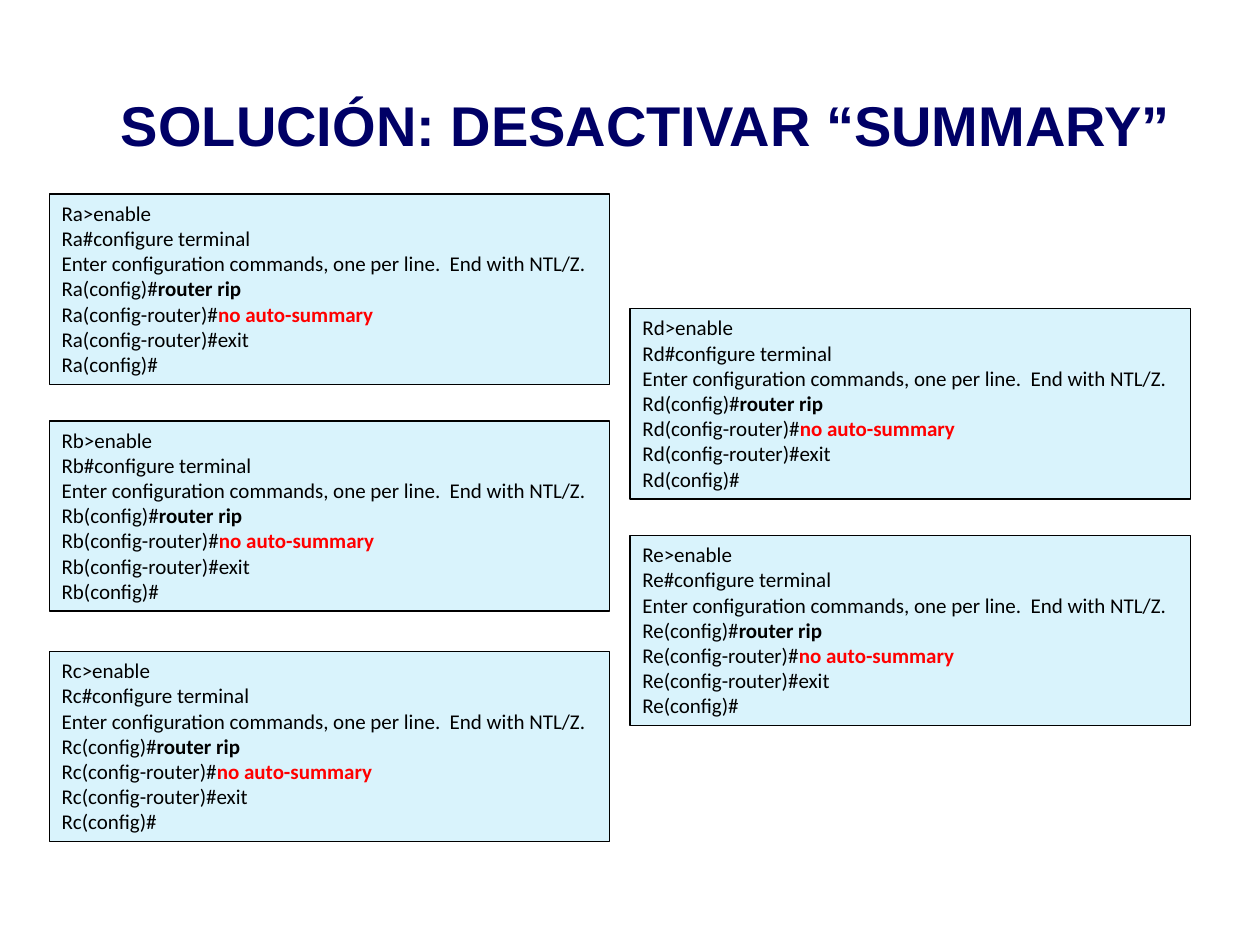
from lxml import etree
from pptx import Presentation
from pptx.dml.color import RGBColor
from pptx.enum.shapes import MSO_SHAPE as Shape
from pptx.enum.text import MSO_ANCHOR as Anchor, MSO_AUTO_SIZE as AutoSize, PP_ALIGN as Align
from pptx.oxml.ns import qn
from pptx.util import Inches, Pt

PANEL_WIDTH, PANEL_HEIGHT = 4.45, 1.51
LEFT_COLUMN, RIGHT_COLUMN = 0.39, 5
ROUTERS = {
    "Ra": (LEFT_COLUMN, 1.54),
    "Rb": (LEFT_COLUMN, 3.34),
    "Rc": (LEFT_COLUMN, 5.17),
    "Rd": (RIGHT_COLUMN, 2.45),
    "Re": (RIGHT_COLUMN, 4.25),
}


def rgb(color):
    """Turn a hex string into a colour."""
    return RGBColor.from_string(color)


def add_text(paragraph, text, font="Calibri", size=12, color="000000", bold=False):
    """Append formatted text to a left-aligned paragraph."""
    paragraph.alignment = Align.LEFT
    run = paragraph.add_run()
    run.text = text
    run.font.name = font
    run.font.size = Pt(size)
    run.font.bold = bold
    run.font.color.rgb = rgb(color)


def set_opacity(fill, percent):
    """Make a solid fill partly transparent."""
    color = fill._xPr.find(qn("a:solidFill"))[0]
    etree.SubElement(color, qn("a:alpha")).set("val", str(percent * 1000))


def add_title(slide, text, left, top, width, height):
    """Place and format the slide title."""
    title = slide.shapes.title
    title.left, title.top = Inches(left), Inches(top)
    title.width, title.height = Inches(width), Inches(height)
    frame = title.text_frame
    frame.word_wrap = False
    frame.auto_size = AutoSize.SHAPE_TO_FIT_TEXT
    frame.vertical_anchor = Anchor.TOP
    add_text(frame.paragraphs[0], text, font="Arial", size=32, color="000066", bold=True)


def add_router_panel(slide, router, left, top, width, height):
    """Draw one console panel with the commands for a router."""
    panel = slide.shapes.add_shape(
        Shape.RECTANGLE, Inches(left), Inches(top), Inches(width), Inches(height))
    panel.shadow.inherit = False
    panel.fill.solid()
    panel.fill.fore_color.rgb = rgb("00B0F0")
    set_opacity(panel.fill, 15)
    panel.line.color.rgb = rgb("000000")
    panel.line.width = Pt(0.75)

    frame = panel.text_frame
    frame.word_wrap = True
    frame.auto_size = AutoSize.SHAPE_TO_FIT_TEXT
    frame.vertical_anchor = Anchor.TOP
    console = [
        (f"{router}>enable", "", {}),
        (f"{router}#configure terminal", "", {}),
        ("Enter configuration commands, one per line.  End with NTL/Z.", "", {}),
        (f"{router}(config)#", "router rip", {}),
        (f"{router}(config-router)#", "no auto-summary", {"color": "FF0000"}),
        (f"{router}(config-router)#exit", "", {}),
        (f"{router}(config)#", "", {}),
    ]
    for index, (prompt, command, style) in enumerate(console):
        line = frame.add_paragraph() if index else frame.paragraphs[0]
        add_text(line, prompt)
        if command:
            add_text(line, command, bold=True, **style)


def main():
    """Build and save the slide."""
    deck = Presentation()
    deck.slide_width, deck.slide_height = Inches(10), Inches(7.5)
    slide = deck.slides.add_slide(deck.slide_layouts.get_by_name("Title Only"))
    add_title(slide, "SOLUCIÓN: DESACTIVAR “SUMMARY”", 0.86, 0.67, 8.61, 0.64)
    for router, (left, top) in ROUTERS.items():
        add_router_panel(slide, router, left, top, PANEL_WIDTH, PANEL_HEIGHT)
    deck.save("out.pptx")


if __name__ == "__main__":
    main()
